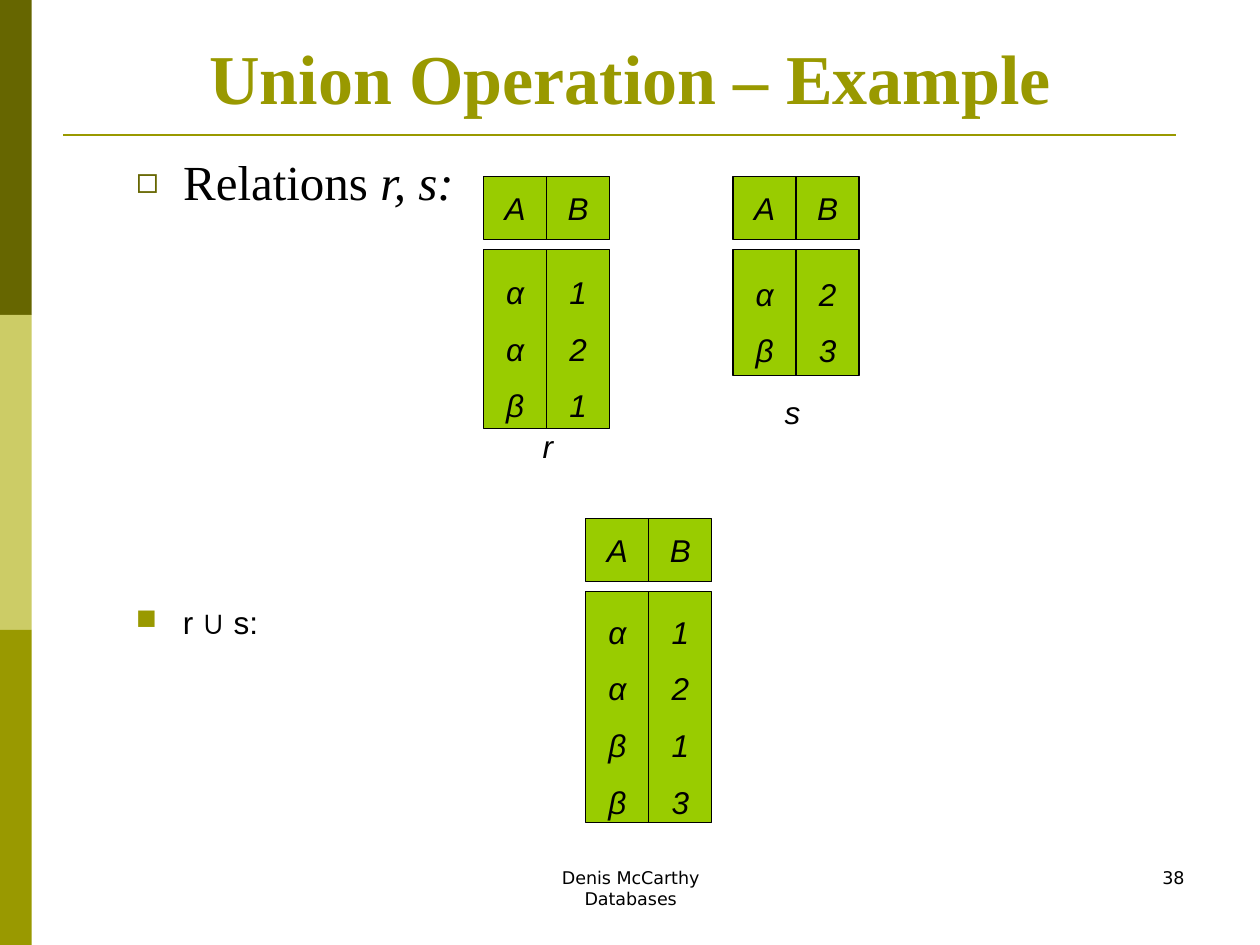
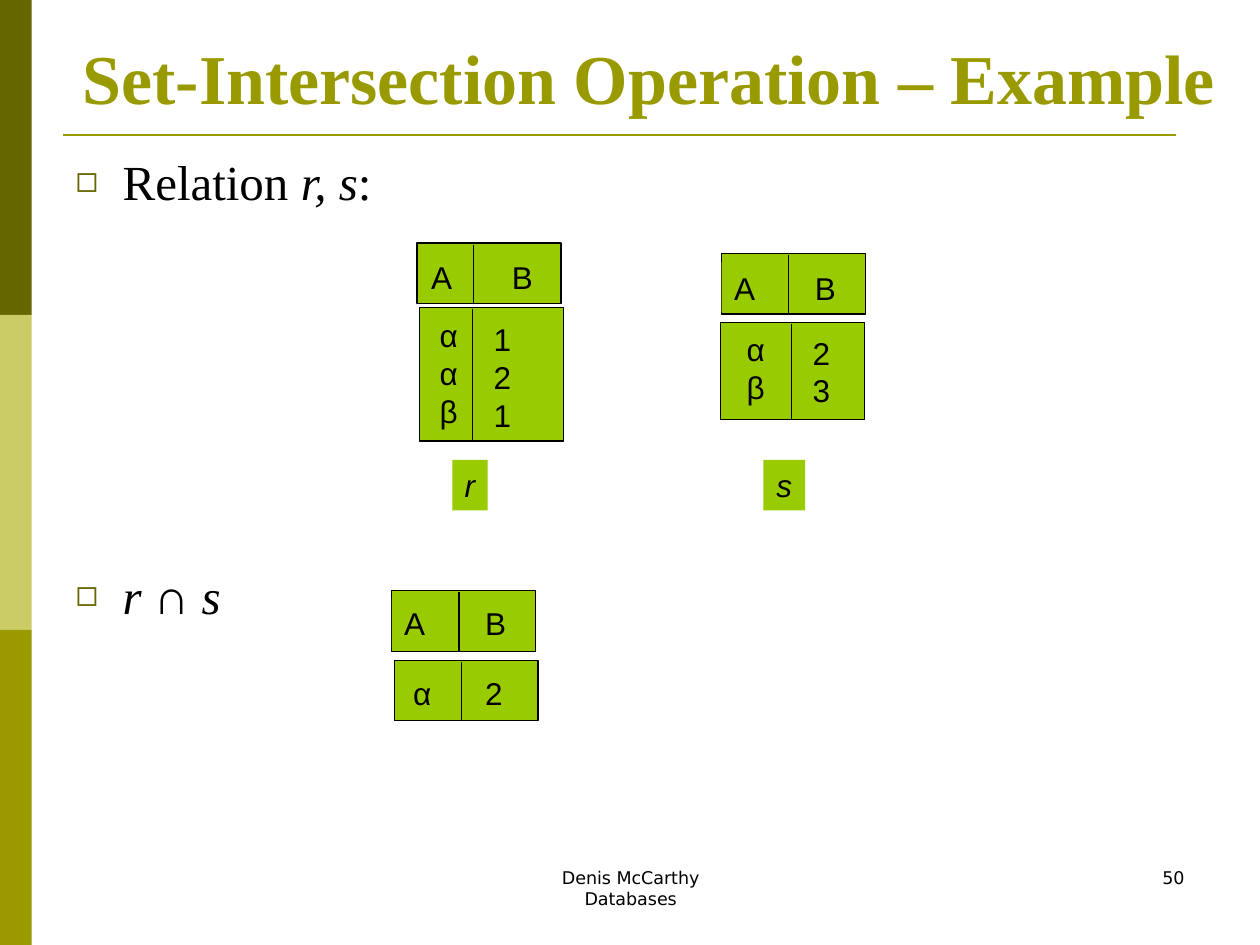
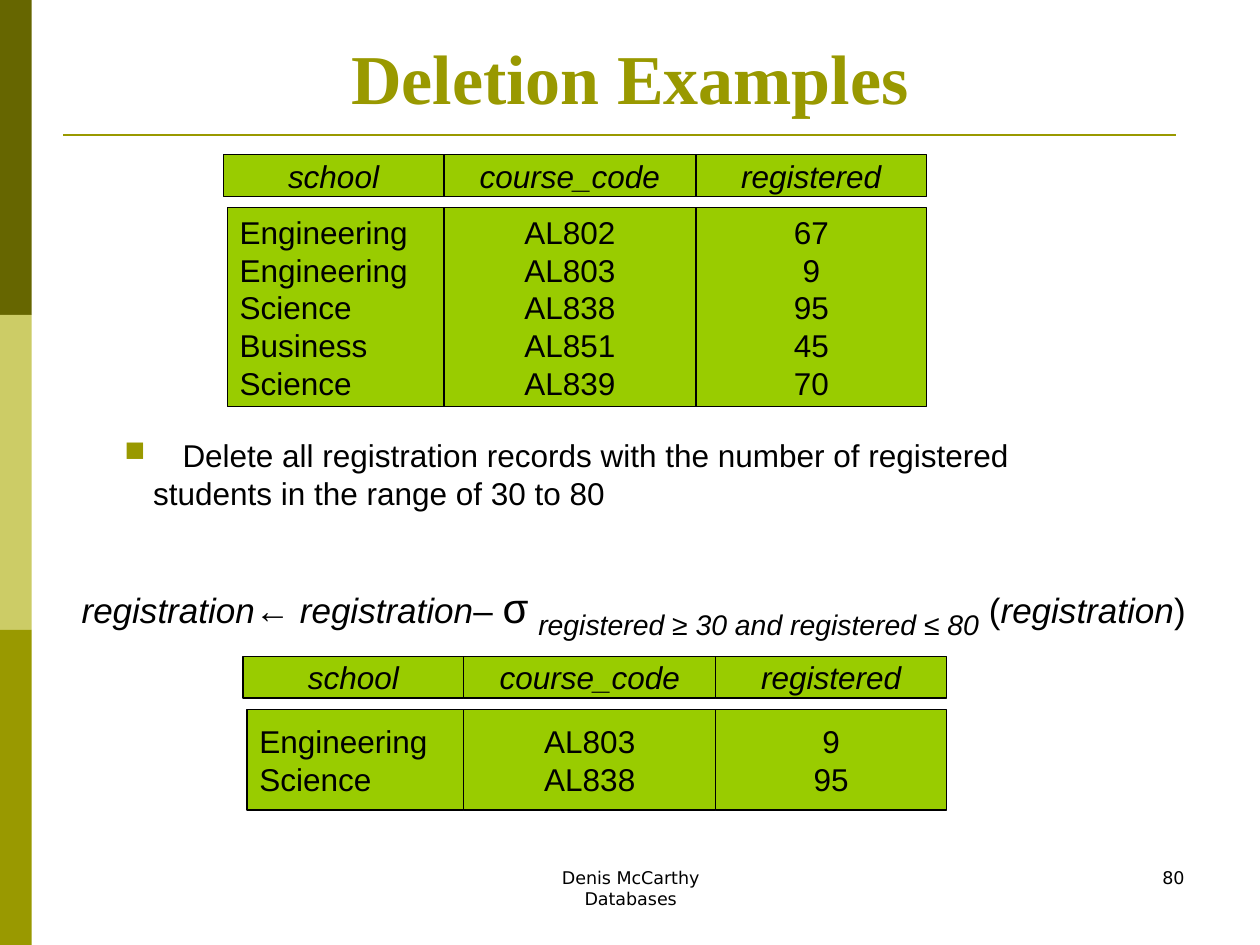
from lxml import etree
from pptx import Presentation
from pptx.dml.color import RGBColor
from pptx.enum.shapes import MSO_CONNECTOR, MSO_SHAPE
from pptx.enum.text import MSO_ANCHOR, MSO_AUTO_SIZE, PP_ALIGN
from pptx.oxml.ns import qn
from pptx.util import Cm, Pt

RECT = MSO_SHAPE.RECTANGLE
STRAIGHT = MSO_CONNECTOR.STRAIGHT
TOP, MIDDLE, BOTTOM = MSO_ANCHOR.TOP, MSO_ANCHOR.MIDDLE, MSO_ANCHOR.BOTTOM
LEFT, CENTER, RIGHT = PP_ALIGN.LEFT, PP_ALIGN.CENTER, PP_ALIGN.RIGHT
NO_FIT = MSO_AUTO_SIZE.NONE

COLORS = {"dark": "666600", "pale": "CCCC66", "olive": "999900",
          "cell": "99CC00", "ink": "000000"}

TITLE = {"name": "Times New Roman", "size": Pt(40), "bold": True, "color": "olive"}
BODY = {"name": "Times New Roman", "size": Pt(28), "color": "ink"}
FOOTER = {"name": "DejaVu Sans", "size": Pt(10), "color": "ink"}
PLAIN = {"name": "Arial", "size": Pt(18), "color": "ink"}
ITALIC = {**PLAIN, "italic": True}
FORMULA = {**PLAIN, "size": Pt(20)}

HOLLOW = {"char": "◻", "color": "dark", "percent": 75, "indent": 0.95}
SOLID = {"char": "■", "color": "olive", "percent": 90, "indent": 0.95}
SLIM = {**SOLID, "indent": 0.58}


def rgb(name):
    return RGBColor.from_string(COLORS[name])


def cm(*lengths):
    return [Cm(v) for v in lengths]


def set_bullet(p, bullet):
    pPr = p._p.get_or_add_pPr()
    pPr.set("marL", str(Cm(bullet["indent"])))
    pPr.set("indent", str(-Cm(bullet["indent"])))
    clr = etree.SubElement(pPr, qn("a:buClr"))
    etree.SubElement(clr, qn("a:srgbClr"), val=COLORS[bullet["color"]])
    etree.SubElement(pPr, qn("a:buSzPct"), val=str(bullet["percent"] * 1000))
    etree.SubElement(pPr, qn("a:buChar"), char=bullet["char"])


def set_tab(p, position):
    tabs = etree.SubElement(p._p.get_or_add_pPr(), qn("a:tabLst"))
    etree.SubElement(tabs, qn("a:tab"), pos=str(Cm(position)), algn="l")


def add_run(p, text, fmt):
    r = p.add_run()
    r.text = text
    for key, value in fmt.items():
        if key == "color":
            r.font.color.rgb = rgb(value)
        elif key == "baseline":
            r._r.get_or_add_rPr().set(key, str(value))
        else:
            setattr(r.font, key, value)


def write(tf, lines, fmt, align=LEFT, anchor=TOP, wrap=True, bullet=None,
          tab=None, spacing=1.0, gap=0):
    for key, value in {"auto_size": NO_FIT, "word_wrap": wrap,
                       "vertical_anchor": anchor}.items():
        setattr(tf, key, value)
    for i, line in enumerate(lines):
        p = tf.add_paragraph() if i else tf.paragraphs[0]
        if bullet:
            set_bullet(p, bullet)
        if tab:
            set_tab(p, tab)
        for key, value in {"alignment": align, "line_spacing": spacing,
                           "space_before": Pt(gap if i else 0)}.items():
            setattr(p, key, value)
        runs = [(line, {})] if isinstance(line, str) else line
        for text, extra in runs:
            add_run(p, text, {**fmt, **extra})


def add_rect(s, box, fill, line=None):
    sp = s.shapes.add_shape(RECT, *cm(*box))
    sp.shadow.inherit = False
    sp.fill.solid()
    sp.fill.fore_color.rgb = rgb(fill)
    if line:
        sp.line.color.rgb = rgb(line)
        sp.line.width = Pt(0.75)
    else:
        sp.line.fill.background()
    return sp


def add_line(s, ends, color, width):
    c = s.shapes.add_connector(STRAIGHT, *cm(*ends))
    c.line.color.rgb = rgb(color)
    c.line.width = Pt(width)
    etree.SubElement(c._element.spPr, qn("a:effectLst"))


def add_text(s, box, lines, fmt, fill=None, **layout):
    sp = s.shapes.add_textbox(*cm(*box))
    if fill:
        sp.fill.solid()
        sp.fill.fore_color.rgb = rgb(fill)
    write(sp.text_frame, lines, fmt, **layout)


def fill_placeholder(sp, box, lines, fmt, **layout):
    sp.left, sp.top, sp.width, sp.height = cm(*box)
    write(sp.text_frame, lines, fmt, **layout)


def add_base(prs, layout, title, number, title_width=22.86):
    s = prs.slides.add_slide(prs.slide_layouts[layout])
    for i, color in enumerate(("dark", "pale", "olive")):
        add_rect(s, (0, 6.35 * i, 0.64, 6.35), color)
    add_line(s, (1.27, 2.72, 23.7, 2.72), "olive", 1.5)
    fill_placeholder(s.shapes.title, (1.27, 0.76, title_width, 1.75), [title],
                     TITLE, align=CENTER, anchor=BOTTOM)
    add_text(s, (8.69, 17.35, 8.05, 1.27), ["Denis McCarthy", "Databases"],
             FOOTER, align=CENTER)
    add_text(s, (18.21, 17.35, 5.92, 1.27), [number], FOOTER, align=RIGHT)
    return s


def add_relation(s, x, y, widths, heights, gap, columns, fmt, spacing=1.0,
                 first_align=CENTER, first_inset=0):
    header_h, body_h = heights
    left = x
    for i, (width, (name, values)) in enumerate(zip(widths, columns.items())):
        inset = 0 if i else first_inset
        align = CENTER if i else first_align
        head = add_rect(s, (left, y, width, header_h), "cell", "ink")
        write(head.text_frame, [name], ITALIC, align=CENTER, anchor=MIDDLE)
        body = add_rect(s, (left + inset, y + header_h + gap, width - inset, body_h),
                        "cell", "ink")
        write(body.text_frame, values, fmt, align=align, anchor=MIDDLE,
              spacing=spacing)
        left += width


def add_split_box(s, x, y, height, split, labels):
    add_rect(s, (x, y, 2.9, height), "cell", "ink")
    for dx, dy, width, lines, tab in labels:
        add_text(s, (x + dx, y + dy, width, 0.25 + 0.76 * len(lines)), lines, PLAIN,
                 fill="cell", align=LEFT if tab else CENTER, wrap=bool(tab), tab=tab)
    add_line(s, (x + split, y + 0.03, x + split, y + height), "ink", 0.75)


def add_union_slide(prs):
    s = add_base(prs, 1, "Union Operation – Example", "38")
    fill_placeholder(s.placeholders[1], (2.49, 3.07, 19.05, 0.97),
                     [[("Relations ", {}), ("r, s:", {"italic": True})]],
                     BODY, bullet=HOLLOW, spacing=0.9)
    add_text(s, (2.49, 12.12, 19.53, 0.91), ["r ∪ s:"], PLAIN,
             bullet=SOLID, spacing=0.9)
    relations = (
        (9.75, 3.56, 3.61, "ααβ", "121"),
        (14.78, 3.56, 2.54, "αβ", "23"),
        (11.81, 10.46, 4.65, "ααββ", "1213"),
    )
    for x, y, body_h, a, b in relations:
        add_relation(s, x, y, (1.27, 1.27), (1.27, body_h), 0.2,
                     {"A": a, "B": b}, ITALIC, spacing=1.5)
    for name, x, y in (("r", 10.67, 8.48), ("s", 15.6, 7.8)):
        add_text(s, (x, y, 0.75, 1.02), [name], ITALIC, align=CENTER,
                 anchor=MIDDLE, wrap=False)


def add_intersection_slide(prs):
    s = add_base(prs, 1, "Set-Intersection Operation – Example", "50", 23.62)
    italic = {"italic": True}
    fill_placeholder(s.placeholders[1], (1.27, 2.92, 22.86, 14.1),
                     [[("Relation ", {}), ("r, s", italic), (":", {})],
                      [("r ", italic), ("∩ ", {}), ("s", italic)]],
                     BODY, bullet=HOLLOW, gap=203)
    header = ["A\tB"]
    boxes = (
        (8.41, 4.9, 1.22, 1.14, [(0.03, 0.18, 2.59, header, 1.63)]),
        (8.46, 6.2, 2.69, 1.07, [(0.13, 0.05, 0.91, "ααβ", None),
                                 (1.24, 0.13, 0.86, "121", None)]),
        (14.55, 5.11, 1.22, 1.35, [(0, 0.18, 2.59, header, 1.63)]),
        (14.53, 6.5, 1.96, 1.42, [(0.25, 0.03, 0.91, "αβ", None),
                                  (1.6, 0.1, 0.86, "23", None)]),
        (7.9, 11.91, 1.22, 1.35, [(0, 0.15, 2.59, header, 1.63)]),
        (7.95, 13.31, 1.22, 1.35, [(0.13, 0.15, 2.31, ["α\t2"], 1.45)]),
    )
    for box in boxes:
        add_split_box(s, *box)
    for name, x, width in (("r", 9.12, 0.71), ("s", 15.39, 0.84)):
        add_text(s, (x, 9.27, width, 1.02), [name], ITALIC, fill="cell",
                 align=CENTER, wrap=False)


def add_deletion_slide(prs):
    s = add_base(prs, 5, "Deletion Examples", "80")
    add_text(s, (2.26, 8.66, 20.65, 1.88),
             ["\tDelete all registration records with the number of registered "
              "students in the range of 30 to 80"],
             PLAIN, bullet=SLIM, tab=1.17)
    italic = {"italic": True}
    condition = {"italic": True, "size": Pt(28), "baseline": -25000}
    add_text(s, (0.66, 11.46, 24.23, 1.27),
             [[("registration", italic), ("← ", {}), ("registration", italic),
               ("– ", {}), ("σ", {"size": Pt(24)}), (" ", {}),
               ("registered ≥ 30 and registered ≤ 80", condition),
               (" (", {}), ("registration", italic), (")", {})]],
             FORMULA, align=CENTER, wrap=False)
    before = (("Engineering", "AL802", "67"), ("Engineering", "AL803", "9"),
              ("Science", "AL838", "95"), ("Business", "AL851", "45"),
              ("Science", "AL839", "70"))
    after = [row for row in before if not 30 <= int(row[2]) <= 80]
    for x, y, body_h, rows in ((4.5, 3.12, 4.01, before), (4.9, 13.23, 2.03, after)):
        columns = dict(zip(("school", "course_code", "registered"), zip(*rows)))
        add_relation(s, x, y, (4.45, 5.08, 4.65), (0.84, body_h), 0.23, columns,
                     PLAIN, first_align=LEFT, first_inset=0.08)


def main():
    prs = Presentation()
    prs.slide_width, prs.slide_height = cm(25.4, 19.05)
    add_union_slide(prs)
    add_intersection_slide(prs)
    add_deletion_slide(prs)
    prs.save("out.pptx")


if __name__ == "__main__":
    main()
